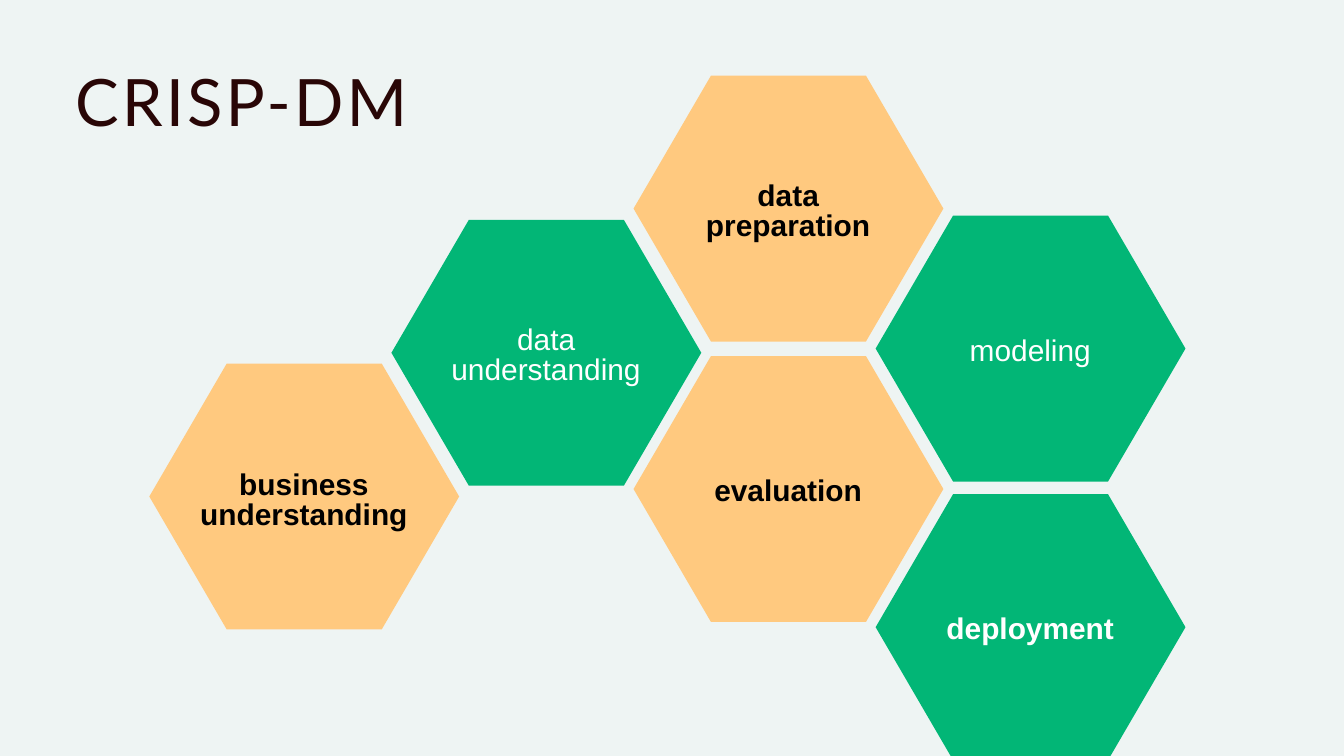
from dataclasses import dataclass

from pptx import Presentation
from pptx.dml.color import RGBColor
from pptx.enum.shapes import MSO_SHAPE as Shape
from pptx.enum.text import MSO_ANCHOR as Anchor, MSO_AUTO_SIZE as AutoSize, PP_ALIGN as Align
from pptx.util import Pt


@dataclass(frozen=True)
class Theme:
    background: str = "EEF4F3"
    orange: str = "FFC97F"
    green: str = "02B676"
    black: str = "000000"
    white: str = "FFFFFF"
    title_color: str = "290606"
    title_font: str = "Lato"
    title_size: int = 70
    title_tracking: float = 3.4
    label_font: str = "Arial"
    label_size: int = 32


class Honeycomb:
    """Holds the theme and the slide being drawn. Lengths are in points."""
    WIDTH, HEIGHT, CORNER = 332, 285, 83
    FIRST_LEFT, COLUMN_STEP = 160, 259.4
    LABEL_INDENT, LABEL_WIDTH = 46.5, 238.5

    def __init__(self, theme, slide):
        self.theme, self.slide = theme, slide
        fill = slide.background.fill
        fill.solid()
        fill.fore_color.rgb = RGBColor.from_string(theme.background)

    def text(self, shapes, words, box, color, font_format, frame_format, align, inset=0):
        frame = shapes.add_textbox(*map(Pt, box)).text_frame
        margins = {f"margin_{side}": Pt(inset) for side in ("left", "top", "right", "bottom")}
        for key, value in {"word_wrap": True, **margins, **frame_format}.items():
            setattr(frame, key, value)
        paragraph = frame.paragraphs[0]
        paragraph.alignment = align
        paragraph.line_spacing = font_format["size"]
        run = paragraph.add_run()
        run.text = words
        for key, value in font_format.items():
            setattr(run.font, key, value)
        run.font.color.rgb = RGBColor.from_string(color)
        return run

    def title(self, words):
        theme = self.theme
        run = self.text(self.slide.shapes, words, (80.5, 80, 639.5, 84), theme.title_color,
                        {"name": theme.title_font, "size": Pt(theme.title_size)},
                        {"auto_size": AutoSize.SHAPE_TO_FIT_TEXT}, Align.LEFT)
        # Letter spacing in hundredths of a point
        run._r.get_or_add_rPr().set("spc", str(round(theme.title_tracking * 100)))

    def phase(self, words, column, top, fill, color, bold=True, label_drop=7.7):
        theme = self.theme
        left = self.FIRST_LEFT + column * self.COLUMN_STEP
        shapes = self.slide.shapes.add_group_shape().shapes

        hexagon = shapes.add_shape(Shape.HEXAGON, *map(Pt, (left, top, self.WIDTH, self.HEIGHT)))
        hexagon.adjustments[0] = self.CORNER / self.HEIGHT
        hexagon.shadow.inherit = False
        hexagon.fill.solid()
        hexagon.fill.fore_color.rgb = RGBColor.from_string(fill)
        hexagon.line.fill.background()

        label_box = (left + self.LABEL_INDENT, top + label_drop,
                     self.LABEL_WIDTH, self.HEIGHT - label_drop)
        self.text(shapes, words, label_box, color,
                  {"name": theme.label_font, "size": Pt(theme.label_size), "bold": bold},
                  {"vertical_anchor": Anchor.MIDDLE}, Align.CENTER, inset=4)


def main():
    deck = Presentation()
    deck.slide_width, deck.slide_height = Pt(1440), Pt(810)
    theme = Theme()
    honeycomb = Honeycomb(theme, deck.slides.add_slide(deck.slide_layouts[6]))

    # Process phases
    orange = {"fill": theme.orange, "color": theme.black}
    green = {"fill": theme.green, "color": theme.white}
    honeycomb.phase("data preparation", 2, 81, **orange)
    honeycomb.phase("evaluation", 2, 381.5, **orange)
    honeycomb.phase("data understanding", 1, 235.5, **green, bold=False)
    honeycomb.phase("modeling", 3, 231, **green, bold=False)
    honeycomb.phase("deployment", 3, 529.5, **green)
    honeycomb.phase("business understanding", 0, 389.5, **orange, label_drop=11.5)

    # Title
    honeycomb.title("CRISP-DM")

    deck.save("out.pptx")


if __name__ == "__main__":
    main()
